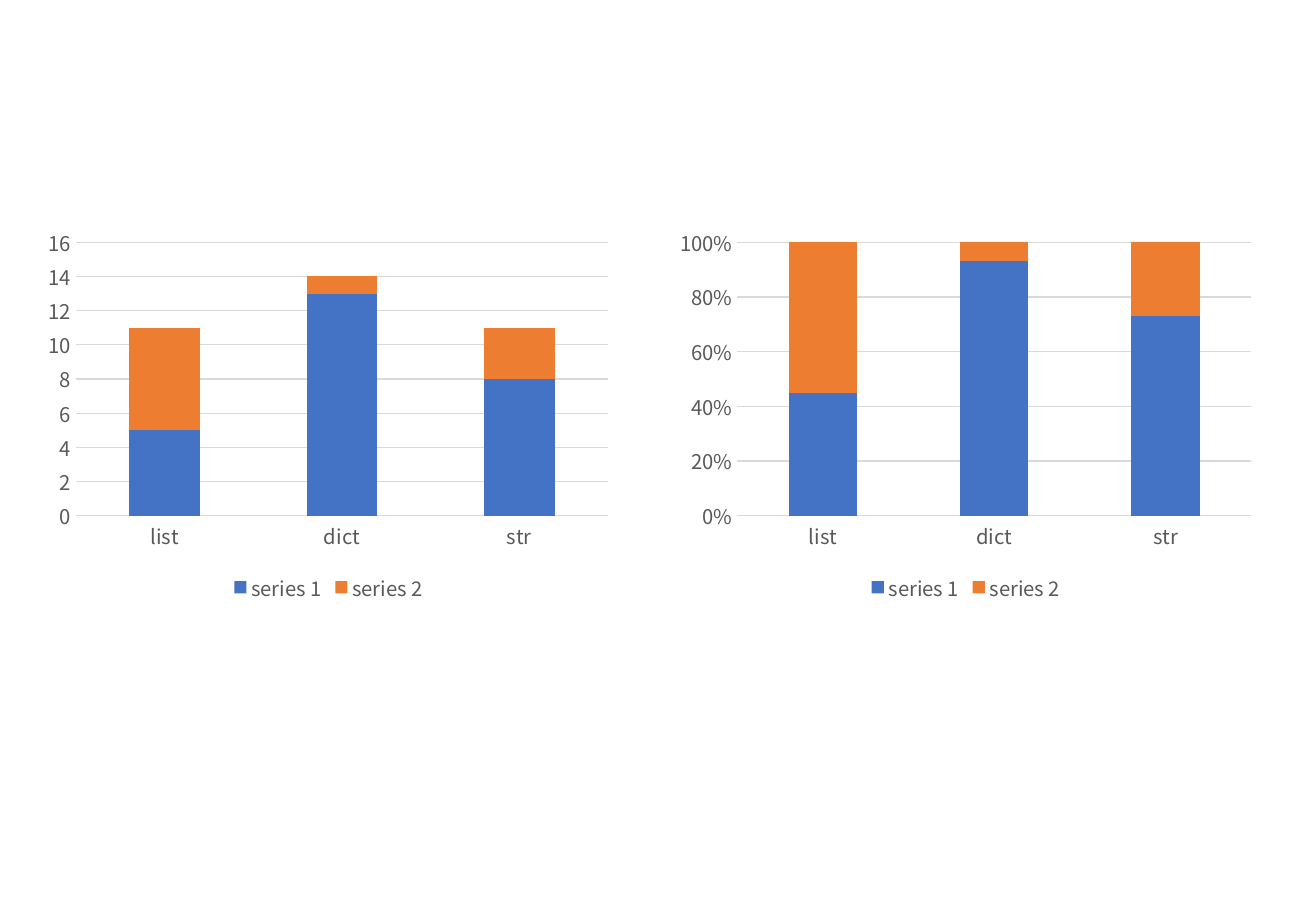
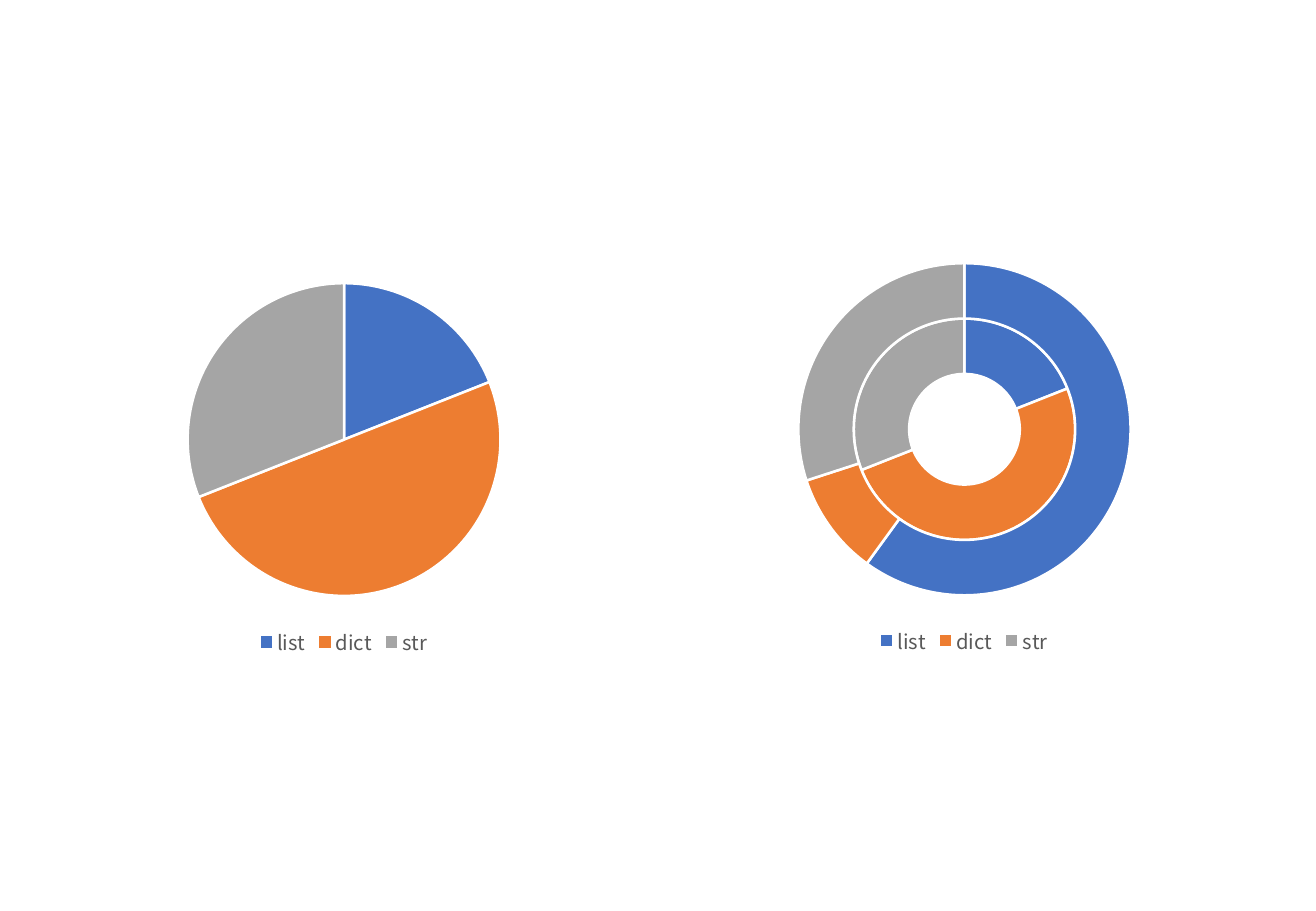
from lxml.etree import SubElement
from pptx import Presentation
from pptx.chart.data import CategoryChartData
from pptx.dml.color import RGBColor
from pptx.enum.chart import XL_CHART_TYPE as ChartType
from pptx.enum.chart import XL_LEGEND_POSITION as LegendPosition
from pptx.enum.chart import XL_TICK_MARK as TickMark
from pptx.oxml.ns import qn
from pptx.util import Inches, Pt

SLIDE_WIDTH, SLIDE_HEIGHT = Inches(10.83), Inches(7.5)
FONT = "Noto Sans CJK KR"
COLORS = {
    "base": "000000",
    "label": "595959",
    "grid": "D9D9D9",
    "border": "FFFFFF",
    "blue": "4472C4",
    "orange": "ED7D31",
    "gray": "A5A5A5",
}
PALETTE = ("blue", "orange", "gray")
CATEGORIES = ("list", "dict", "str")


def rgb(name):
    return RGBColor.from_string(COLORS[name])


def set_font(font, size=12, color="label"):
    font.name = FONT
    font.size = Pt(size)
    font.color.rgb = rgb(color)


def set_line(line, color, width=0.75):
    line.color.rgb = rgb(color)
    line.width = Pt(width)


def set_fill(chart_format, color):
    chart_format.fill.solid()
    chart_format.fill.fore_color.rgb = rgb(color)


def place_plot(chart, area):
    """Fix the inner plot area, given in percent of the chart frame."""
    plot_area = chart.element.find(".//" + qn("c:plotArea"))
    layout = plot_area.find(qn("c:layout"))
    if layout is None:
        layout = SubElement(plot_area, qn("c:layout"))
        plot_area.insert(0, layout)
    manual = SubElement(layout, qn("c:manualLayout"))
    settings = [("layoutTarget", "inner"), ("xMode", "edge"), ("yMode", "edge")]
    settings += [(key, f"{share / 100:.3f}") for key, share in zip("xywh", area)]
    for tag, value in settings:
        SubElement(manual, qn("c:" + tag)).set("val", value)


def add_chart(slide, chart_type, frame, plot_area, series):
    """Add a chart with a bottom legend; frame is in percent of the slide."""
    data = CategoryChartData()
    data.categories = CATEGORIES
    for name, values in series.items():
        data.add_series(name, values)
    left, top, width, height = (
        int(share / 100 * length)
        for share, length in zip(frame, (SLIDE_WIDTH, SLIDE_HEIGHT) * 2)
    )
    chart = slide.shapes.add_chart(chart_type, left, top, width, height, data).chart
    if len(chart.series) < len(series):
        # A new pie takes only the first series; replacing its data adds the rest.
        chart.replace_data(data)
    chart.has_title = False
    set_font(chart.font, 10, "base")
    chart.has_legend = True
    chart.legend.position = LegendPosition.BOTTOM
    chart.legend.include_in_layout = False
    set_font(chart.legend.font)
    place_plot(chart, plot_area)
    return chart


def add_stacked_columns(slide, chart_type, frame, plot_area, series,
                        maximum, step, number_format):
    chart = add_chart(slide, chart_type, frame, plot_area, series)
    plot = chart.plots[0]
    plot.vary_by_categories = False
    plot.gap_width, plot.overlap = 150, 100
    for column, color in zip(plot.series, PALETTE):
        set_fill(column.format, color)

    category_axis, value_axis = chart.category_axis, chart.value_axis
    for axis in (category_axis, value_axis):
        axis.major_tick_mark = axis.minor_tick_mark = TickMark.NONE
        set_font(axis.tick_labels.font)
    set_line(category_axis.format.line, "grid")
    value_axis.format.line.fill.background()
    value_axis.has_major_gridlines = True
    set_line(value_axis.major_gridlines.format.line, "grid")
    value_axis.minimum_scale, value_axis.maximum_scale = 0, maximum
    value_axis.major_unit = step
    value_axis.tick_labels.number_format = number_format
    value_axis.tick_labels.number_format_is_linked = False


def add_round_chart(slide, chart_type, frame, plot_area, series):
    """Add a pie or doughnut whose slices have white borders."""
    chart = add_chart(slide, chart_type, frame, plot_area, series)
    plot = chart.plots[0]
    plot.vary_by_categories = True
    for ring in plot.series:
        for index, color in enumerate(PALETTE):
            slice_format = ring.points[index].format
            set_fill(slice_format, color)
            set_line(slice_format.line, "border", 1.5)
    return chart


def add_column_slide(slide):
    add_stacked_columns(
        slide, ChartType.COLUMN_STACKED,
        (2.86, 24.13, 44.23, 42.53), (6.6, 5.8, 91.4, 70.6),
        {"series 1": (5, 13, 8), "series 2": (6, 1, 3)},
        maximum=16, step=2, number_format="General")
    add_stacked_columns(
        slide, ChartType.COLUMN_STACKED_100,
        (50.78, 24.13, 45.25, 42.53), (11.6, 5.8, 86.3, 70.6),
        {"series 1": (45, 93, 73), "series 2": (55, 7, 27)},
        maximum=1, step=0.2, number_format="0%")


def add_round_slide(slide):
    series = {"Series 1": (19, 50, 31), "Series 2": (60, 10, 30)}
    add_round_chart(
        slide, ChartType.PIE,
        (2.95, 29.2, 46.35, 43.47), (24.4, 4.3, 51.3, 79.1), series)
    doughnut = add_round_chart(
        slide, ChartType.DOUGHNUT,
        (49.31, 26.93, 47.92, 45.6), (23.7, 4.2, 52.7, 80.2), series)
    doughnut.element.find(".//" + qn("c:holeSize")).set("val", "75")


def main():
    presentation = Presentation()
    presentation.slide_width = SLIDE_WIDTH
    presentation.slide_height = SLIDE_HEIGHT
    blank_layout = presentation.slide_layouts[6]
    for fill_slide in (add_column_slide, add_round_slide):
        fill_slide(presentation.slides.add_slide(blank_layout))
    presentation.save("out.pptx")


if __name__ == "__main__":
    main()
